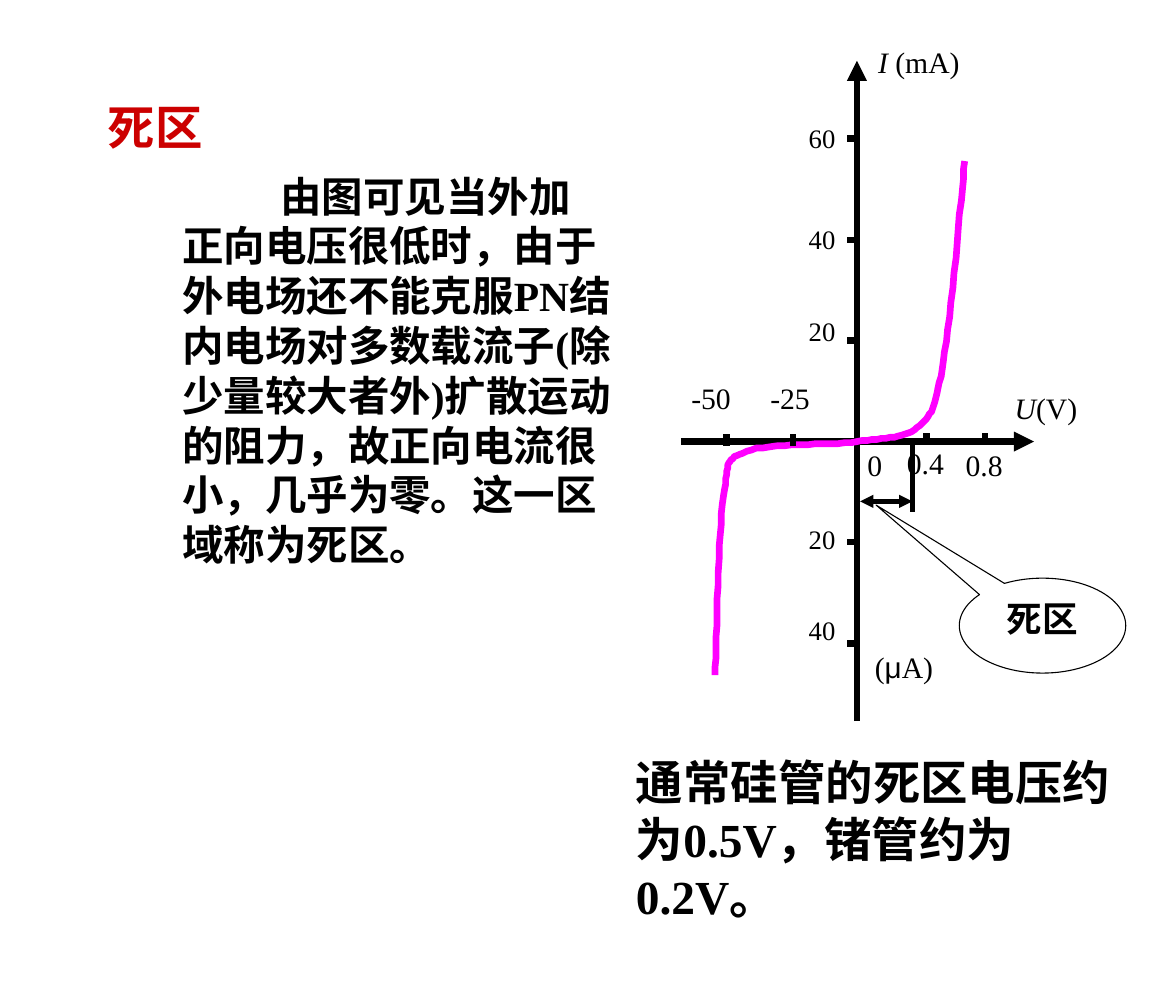
from lxml import etree
from pptx import Presentation, util as u
from pptx.dml.color import RGBColor
from pptx.enum import shapes, text
from pptx.oxml.ns import qn

PX = 9144  # 100 px to the inch
COLORS = {"black": "000000", "white": "FFFFFF", "title": "CC0000", "curve": "FF00FF"}
SERIF, SANS = "Times New Roman", "Arial"
ORIGIN_X, ORIGIN_Y = 803, 414


def write(shape, runs, size, color="black", bold=False):
    """Fill a shape with one paragraph of (text, font, italic) runs."""
    frame = shape.text_frame
    frame.word_wrap = True
    frame.auto_size = text.MSO_AUTO_SIZE.NONE
    paragraph = frame.paragraphs[0]
    for words, font_name, italic in runs:
        run = paragraph.add_run()
        run.text = words
        run.font.name = font_name
        run.font.size = u.Pt(size)
        run.font.bold = bold
        run.font.italic = italic
        run.font.color.rgb = RGBColor.from_string(COLORS[color])
    return paragraph


def draw_line(x1, y1, x2, y2, width=4.5, arrows=()):
    """Draw a black line; arrows names its headEnd and/or tailEnd."""
    line = slide.shapes.add_connector(
        shapes.MSO_CONNECTOR.STRAIGHT, x1 * PX, y1 * PX, x2 * PX, y2 * PX)
    line.line.width = u.Pt(width)
    line.line.color.rgb = RGBColor.from_string(COLORS["black"])
    properties = line._element.spPr
    for end in arrows:
        etree.SubElement(properties.find(qn("a:ln")), qn(f"a:{end}"), type="triangle")
    etree.SubElement(properties, qn("a:effectLst"))


presentation = Presentation()
presentation.slide_width = 1102 * PX
presentation.slide_height = 945 * PX
slide = presentation.slides.add_slide(presentation.slide_layouts[5])

# Title
title = slide.shapes.title
title.left, title.top, title.width, title.height = 91 * PX, 26 * PX, 261 * PX, 124 * PX
title.text_frame.vertical_anchor = text.MSO_ANCHOR.BOTTOM
write(title, [("死区", SANS, False)], 32, "title", True).alignment = text.PP_ALIGN.LEFT

# Explanation and conclusion
explanation = slide.shapes.add_textbox(161 * PX, 155 * PX, 421 * PX, 397 * PX)
paragraph = write(explanation, [(
    "由图可见当外加正向电压很低时，由于外电场还不能克服PN结内电场对多数载流子"
    "(除少量较大者外)扩散运动的阻力，故正向电流很小，几乎为零。这一区域称为死区。",
    SERIF, False)], 28, bold=True)
paragraph._p.get_or_add_pPr().set("indent", str(92 * PX))

conclusion = slide.shapes.add_textbox(586 * PX, 701 * PX, 469 * PX, 170 * PX)
write(conclusion, [("通常硅管的死区电压约为0.5V，锗管约为0.2V。", SERIF, False)], 32, bold=True)

# Axes
draw_line(638, ORIGIN_Y, 969, ORIGIN_Y, arrows=["tailEnd"])
draw_line(ORIGIN_X, 676, ORIGIN_X, 57, arrows=["tailEnd"])

# Diode characteristic: Bézier segments sampled into a smooth outline
curve_start = (904, 151)
curve_segments = [
    [(901, 183), (891, 298), (884, 339)],
    [(877, 380), (875, 387), (862, 399)],
    [(849, 412), (830, 410), (803, 414)],
    [(776, 418), (721, 415), (700, 423)],
    [(679, 432), (683, 430), (678, 465)],
    [(673, 500), (672, 598), (670, 633)],
]
STEPS = 16
curve_points = []
start = curve_start
for control_1, control_2, end in curve_segments:
    for step in range(1, STEPS + 1):
        t = step / STEPS
        weights = ((1 - t) ** 3, 3 * t * (1 - t) ** 2, 3 * t ** 2 * (1 - t), t ** 3)
        corners = (start, control_1, control_2, end)
        curve_points.append(tuple(
            sum(w * corner[axis] for w, corner in zip(weights, corners)) for axis in (0, 1)))
    start = end
builder = slide.shapes.build_freeform(*curve_start, scale=PX)
builder.add_line_segments(curve_points, close=False)
curve = builder.convert_to_shape()
curve.shadow.inherit = False
curve.fill.background()
curve.line.width = u.Pt(4.5)
curve.line.color.rgb = RGBColor.from_string(COLORS["curve"])

# Ticks
for x, top, bottom in [(681, 407, 418), (743, 407, 418), (868, 406, 416), (923, 406, 416)]:
    draw_line(x, bottom, x, top)
for y in (130, 225, 319, 508, 603):
    draw_line(794, y, ORIGIN_X, y)

# Axis names and tick labels: left, top, width, size, runs
labels = [
    (941, 361, 83, 20, [("U", SERIF, True), ("(V)", SERIF, False)]),
    (813, 36, 110, 20, [("I ", SERIF, True), ("(mA)", SERIF, False)]),
    (810, 603, 103, 20, [("(", SERIF, False), ("μ", SANS, False), ("A)", SERIF, False)]),
]
for left, top, width, number in [(638, 351, 64, "-50"), (712, 351, 64, "-25"),
                                 (803, 414, 37, "0"), (840, 412, 64, "0.4"),
                                 (895, 414, 64, "0.8")]:
    labels.append((left, top, width, 20, [(number, SERIF, False)]))
for top, number in [(109, "60"), (204, "40"), (290, "20"), (485, "20"), (571, "40")]:
    labels.append((748, top, 55, 18, [(number, SERIF, False)]))
for left, top, width, size, runs in labels:
    label = slide.shapes.add_textbox(left * PX, top * PX, width * PX, 44 * PX)
    write(label, runs, size)

# Dead zone
draw_line(855, 411, 855, 480, 3)
draw_line(806, 470, 855, 470, 3, ["headEnd", "tailEnd"])

callout = slide.shapes.add_shape(
    shapes.MSO_SHAPE.OVAL_CALLOUT, 899 * PX, 542 * PX, 156 * PX, 89 * PX)
callout.adjustments[0] = -1.0
callout.adjustments[1] = -1.27
callout.shadow.inherit = False
callout.fill.solid()
callout.fill.fore_color.rgb = RGBColor.from_string(COLORS["white"])
callout.line.width = u.Pt(0.75)
callout.line.color.rgb = RGBColor.from_string(COLORS["black"])
callout.text_frame.vertical_anchor = text.MSO_ANCHOR.TOP
write(callout, [("死区", SERIF, False)], 24, bold=True).alignment = text.PP_ALIGN.CENTER

presentation.save("out.pptx")
